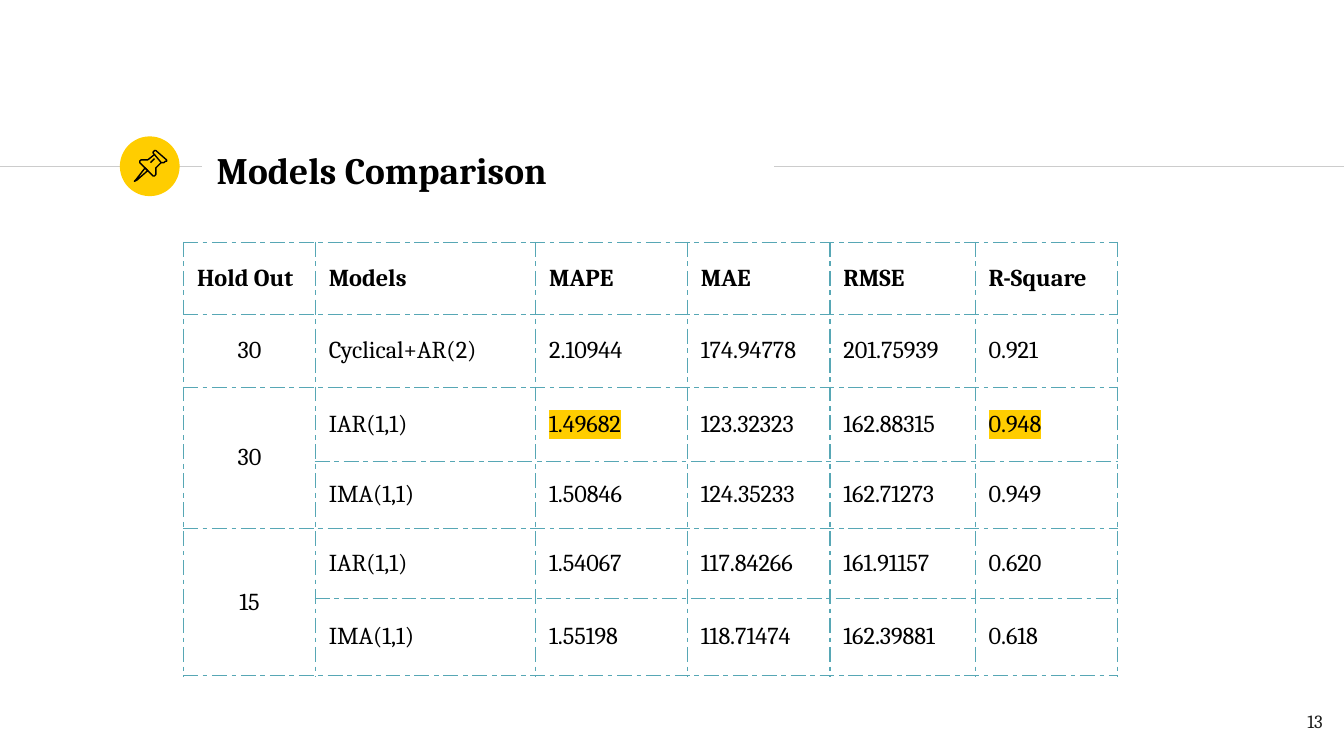
import pptx
import pptx.dml.color
import pptx.enum.shapes
import pptx.enum.text
import pptx.oxml
import pptx.oxml.ns
import pptx.util

FONT = "Cambria"
BLACK, YELLOW, GRAY, TEAL = "000000", "FFCD00", "CCCCCC", "57A7B5"
ALIGN = pptx.enum.text.PP_ALIGN
MIDDLE = pptx.enum.text.MSO_ANCHOR.MIDDLE

COLUMNS = [9.8, 16.4, 11.3, 10.6, 10.8, 10.6]
ROWS = [5.35, 5.45, 5.5, 5, 5.2, 5.75]
RESULTS = [
    ["Hold Out", "Models", "MAPE", "MAE", "RMSE", "R-Square"],
    ["30", "Cyclical+AR(2)", "2.10944", "174.94778", "201.75939", "0.921"],
    ["30", "IAR(1,1)", "1.49682", "123.32323", "162.88315", "0.948"],
    ["", "IMA(1,1)", "1.50846", "124.35233", "162.71273", "0.949"],
    ["15", "IAR(1,1)", "1.54067", "117.84266", "161.91157", "0.620"],
    ["", "IMA(1,1)", "1.55198", "118.71474", "162.39881", "0.618"],
]
BEST = {(2, 2), (2, 5)}
MERGED_ROWS = [(2, 3), (4, 5)]

PIN_NEEDLE = [(108, 125), (101, 134), (100, 135), (102, 134), (110, 127)]
PIN_CAP = [(115, 115), (120, 121), (122, 121), (123, 120), (124, 120),
           (124, 119), (116, 112), (115, 112), (114, 113), (114, 114)]
PIN_BODY = [(115, 115), (110, 119), (107, 119), (105, 119), (104, 120),
            (104, 121), (114, 131), (115, 131), (116, 130), (116, 128),
            (116, 125), (120, 121)]
PIN_GLINT = [(112, 121), (115, 118)]


def grid(units):
    return pptx.util.Inches(units / 10)


def color(hex_value):
    return pptx.dml.color.RGBColor.from_string(hex_value)


def element(xml):
    namespace = pptx.oxml.ns.nsdecls("a")
    return pptx.oxml.parse_xml(xml.replace("NS", namespace, 1))


def write(frame, text, size, hex_value=BLACK, bold=False, align=ALIGN.LEFT):
    paragraph = frame.paragraphs[0]
    paragraph.alignment = align
    paragraph.font.name = FONT
    paragraph.font.size = pptx.util.Pt(size)
    paragraph.font.bold = bold
    paragraph.font.color.rgb = color(hex_value)
    run = paragraph.add_run()
    run.text = text
    return run


def add_label(slide, box, text, size, **style):
    frame = slide.shapes.add_textbox(*map(grid, box)).text_frame
    frame.word_wrap = True
    frame.margin_left = frame.margin_right = grid(1)
    frame.margin_top = frame.margin_bottom = grid(1)
    write(frame, text, size, **style)
    return frame


def add_rule(slide, start, end, row):
    straight = pptx.enum.shapes.MSO_CONNECTOR.STRAIGHT
    rule = slide.shapes.add_connector(
        straight, grid(start), grid(row), grid(end), grid(row))
    rule.line.color.rgb = color(GRAY)
    rule.line.width = pptx.util.Pt(0.75)
    rule._element.spPr.append(element("<a:effectLst NS/>"))


def add_disc(slide, left, top, size):
    disc = slide.shapes.add_shape(
        pptx.enum.shapes.MSO_SHAPE.OVAL, *map(grid, (left, top, size, size)))
    disc.shadow.inherit = False
    disc.fill.solid()
    disc.fill.fore_color.rgb = color(YELLOW)
    disc.line.fill.background()


def add_outline(slide, points, closed):
    builder = slide.shapes.build_freeform(*points[0], scale=grid(0.1))
    builder.add_line_segments(points[1:], close=closed)
    outline = builder.convert_to_shape()
    outline.shadow.inherit = False
    outline.fill.background()
    outline.line.color.rgb = color(BLACK)
    outline.line.width = pptx.util.Pt(0.75)


def style_cell(cell):
    properties = cell._tc.get_or_add_tcPr()
    for side in "LRTB":
        properties.append(element(
            f'<a:ln{side} NS w="9525"><a:solidFill><a:srgbClr val="{TEAL}"/>'
            f'</a:solidFill><a:prstDash val="lgDashDot"/></a:ln{side}>'))
    cell.fill.background()
    cell.vertical_anchor = MIDDLE
    cell.margin_left = cell.margin_right = grid(1)
    cell.margin_top = cell.margin_bottom = grid(0.7)


def add_results(slide, left, top):
    table = slide.shapes.add_table(
        len(ROWS), len(COLUMNS), grid(left), grid(top),
        grid(sum(COLUMNS)), grid(sum(ROWS))).table
    table.first_row = table.horz_banding = False
    for column, width in zip(table.columns, COLUMNS):
        column.width = grid(width)
    for row, height in zip(table.rows, ROWS):
        row.height = grid(height)
    for r, values in enumerate(RESULTS):
        for c, value in enumerate(values):
            cell = table.cell(r, c)
            style_cell(cell)
            if not value:
                continue
            centered = r > 0 and c == 0
            run = write(cell.text_frame, value, 13, bold=r == 0,
                        align=ALIGN.CENTER if centered else ALIGN.LEFT)
            if (r, c) in BEST:
                run._r.get_or_add_rPr().append(element(
                    f'<a:highlight NS><a:srgbClr val="{YELLOW}"/></a:highlight>'))
    for first, last in MERGED_ROWS:
        table.cell(first, 0).merge(table.cell(last, 0))


def main():
    deck = pptx.Presentation()
    deck.slide_width, deck.slide_height = grid(100), grid(56.25)
    slide = deck.slides.add_slide(deck.slide_layouts[6])

    add_rule(slide, 0, 15, 12.4)
    add_disc(slide, 8.92, 10.15, 4.45)
    add_rule(slide, 57.6, 100, 12.4)
    title = add_label(slide, (15.13, 10.2, 45, 4.8), "Models Comparison", 20, bold=True)
    title.vertical_anchor = MIDDLE
    add_results(slide, 13.66, 18.04)
    for points, closed in ((PIN_NEEDLE, True), (PIN_CAP, True),
                           (PIN_BODY, False), (PIN_GLINT, False)):
        add_outline(slide, points, closed)
    add_label(slide, (93.4, 51.95, 6, 4.3), "13", 10,
              hex_value="1D1D1B", align=ALIGN.RIGHT)

    deck.save("out.pptx")


if __name__ == "__main__":
    main()
